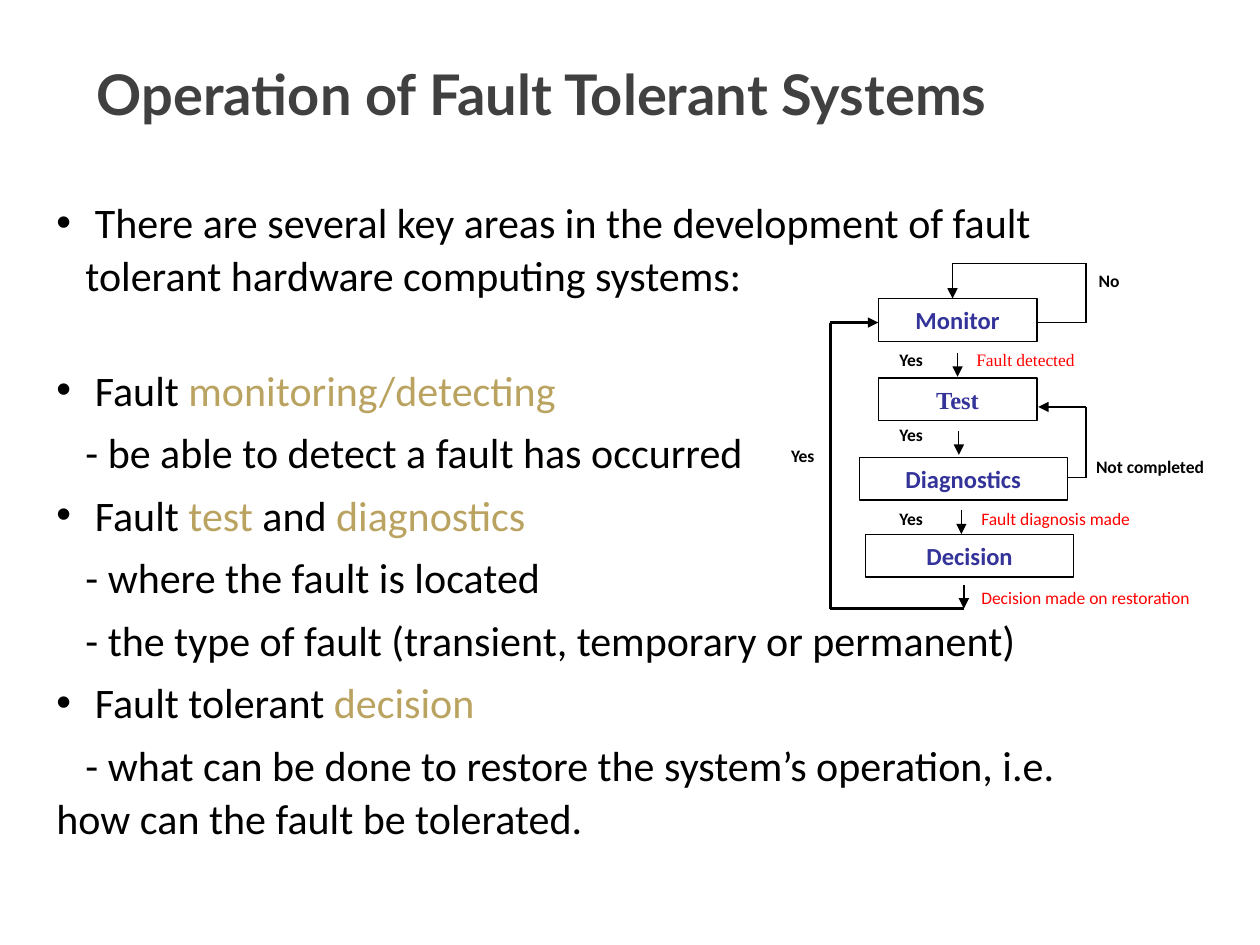
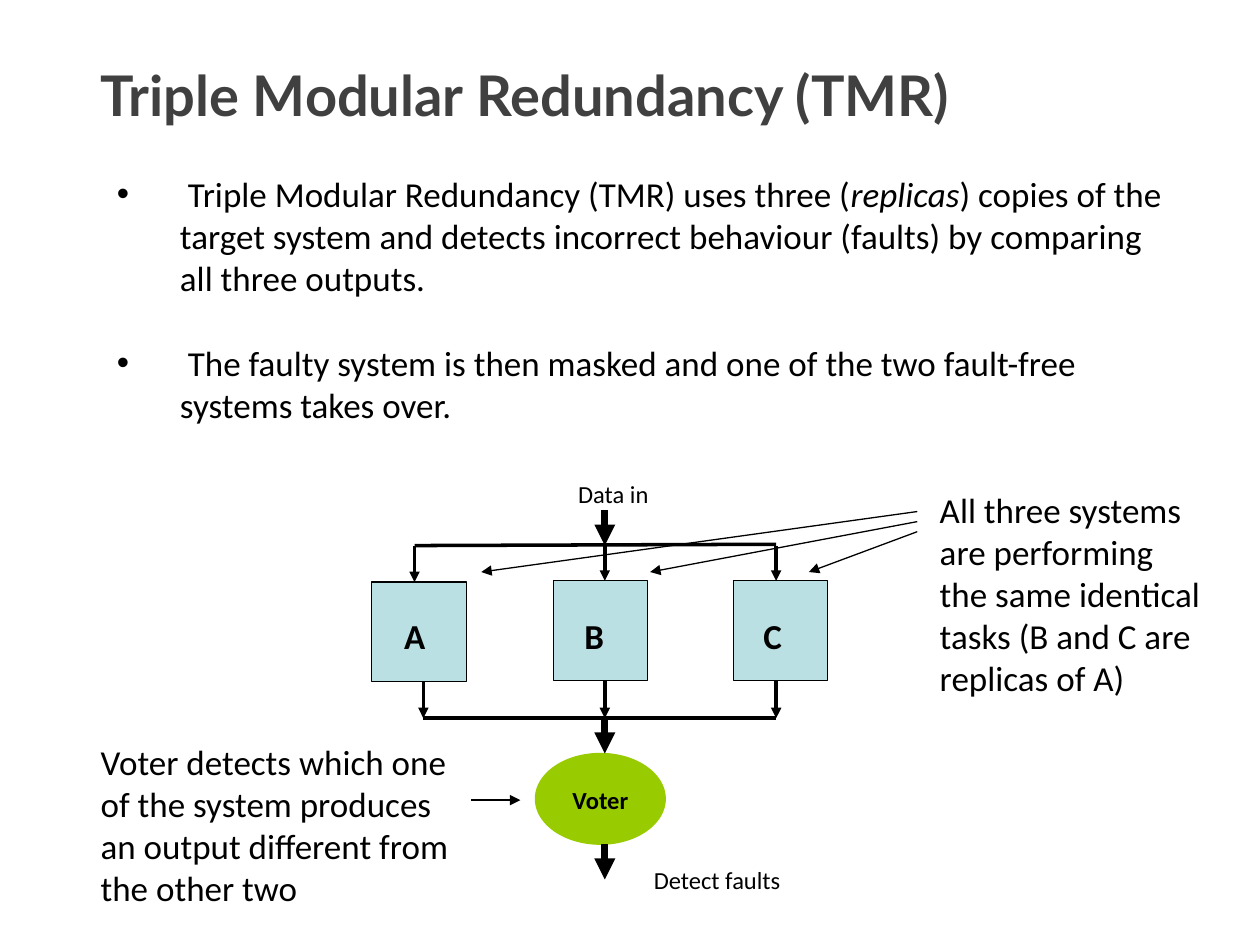
from lxml.etree import SubElement
from pptx import Presentation
from pptx.dml.color import RGBColor
from pptx.enum.shapes import MSO_CONNECTOR, MSO_SHAPE
from pptx.enum.text import MSO_ANCHOR, PP_ALIGN
from pptx.oxml.ns import qn
from pptx.util import Inches, Pt

COLOURS = {
    "title": "404040",
    "text": "000000",
    "accent": "BAA360",
    "step": "333399",
    "note": "FF0000",
    "module": "BBE0E3",
    "voter": "99CC00",
}
BODY_FONT = "Calibri"

presentation = Presentation()
presentation.slide_width = Inches(10)
presentation.slide_height = Inches(7.5)
column = presentation.slide_width / 100
row = presentation.slide_height / 75
blank_layout = presentation.slide_layouts[6]


def add_text(slide, text, cell, size=10, font=BODY_FONT, colour="text", bold=False,
             align=PP_ALIGN.LEFT, wrap=True, spacing=None, gaps=(0,), hanging=0,
             first_line=0, emphasis_colour=None, emphasis_italic=False,
             geometry=None, fill=None, line="text"):
    left, top, width, height = cell
    box = (round(left * column), round(top * row), round(width * column), round(height * row))
    if geometry is None:
        shape = slide.shapes.add_textbox(*box)
    else:
        shape = slide.shapes.add_shape(geometry, *box)
        shape.shadow.inherit = False
        shape.line.color.rgb = RGBColor.from_string(COLOURS[line])
        shape.line.width = Pt(0.75)
        if fill:
            shape.fill.solid()
            shape.fill.fore_color.rgb = RGBColor.from_string(COLOURS[fill])
        else:
            shape.fill.background()
    if not text:
        return
    frame = shape.text_frame
    frame.word_wrap = wrap
    frame.vertical_anchor = MSO_ANCHOR.MIDDLE if geometry else MSO_ANCHOR.TOP
    for index, (content, gap) in enumerate(zip(text.split("\n"), gaps)):
        paragraph = frame.paragraphs[0] if index == 0 else frame.add_paragraph()
        paragraph.alignment = align
        paragraph.space_before = Pt(gap)
        if spacing:
            paragraph.line_spacing = spacing
        properties = paragraph._p.get_or_add_pPr()
        if content.startswith("•"):
            content = content[1:]
            properties.set("marL", str(round(hanging * column)))
            properties.set("indent", str(-round(hanging * column)))
            SubElement(properties, qn("a:buFont"), typeface="Arial")
            SubElement(properties, qn("a:buChar"), char="•")
        elif first_line:
            properties.set("indent", str(round(first_line * column)))
        for position, part in enumerate(content.split("*")):
            emphasised = position % 2 == 1
            run = paragraph.add_run()
            run.text = part
            run.font.name = font
            run.font.size = Pt(size)
            run.font.bold = bold
            run.font.italic = emphasised and emphasis_italic
            shade = emphasis_colour if emphasised and emphasis_colour else colour
            run.font.color.rgb = RGBColor.from_string(COLOURS[shade])


def add_line(slide, *points, weight=0.75, arrow=True):
    for start, end in zip(points, points[1:]):
        connector = slide.shapes.add_connector(
            MSO_CONNECTOR.STRAIGHT,
            round(start[0] * column), round(start[1] * row),
            round(end[0] * column), round(end[1] * row))
        connector.line.color.rgb = RGBColor.from_string(COLOURS["text"])
        connector.line.width = Pt(weight)
        if arrow and end == points[-1]:
            SubElement(connector.line._get_or_add_ln(), qn("a:tailEnd"), type="triangle")
        SubElement(connector._element.spPr, qn("a:effectLst"))


TITLE = dict(size=32, font="Lato", colour="title", bold=True)

operation = presentation.slides.add_slide(blank_layout)
add_text(operation, "Operation of Fault Tolerant Systems", (6.7, 4.2, 85, 8.3), **TITLE)

key_areas = """• There are several key areas in the development of fault tolerant hardware computing systems:
• Fault *monitoring/detecting*
- be able to detect a fault has occurred
• Fault *test* and *diagnostics*
- where the fault is located
- the type of fault (transient, temporary or permanent)
• Fault tolerant *decision*
- what can be done to restore the system’s operation, i.e. how can the fault be tolerated."""
add_text(operation, key_areas, (3.5, 14.9, 84.3, 54.3), size=24, spacing=1.05,
         gaps=[0, 35.5] + [5.5] * 6, hanging=2.3, first_line=2.3,
         emphasis_colour="accent")

steps = [
    ("Monitor", 69.7, 23.7, 12.6, BODY_FONT),
    ("Test", 69.7, 30, 12.6, "Times New Roman"),
    ("Diagnostics", 68.2, 36.3, 16.5, BODY_FONT),
    ("Decision", 68.7, 42.4, 16.5, BODY_FONT),
]
for name, left, top, width, font in steps:
    add_text(operation, name, (left, top, width, 3.4), size=14, font=font, colour="step",
             bold=True, align=PP_ALIGN.CENTER, geometry=MSO_SHAPE.RECTANGLE)

for x, y in [(76, 28), (76.1, 34.2), (76.3, 40.5)]:
    add_line(operation, (x, y), (x, y + 1.9))
add_line(operation, (76.5, 46.4), (76.5, 48.3), weight=1.5)
add_line(operation, (76.5, 48.3), (65.9, 48.3), (65.9, 25.6), (69.7, 25.6), weight=1.5)
add_line(operation, (84.7, 37.9), (86.2, 37.9), (86.2, 32.3), (82.4, 32.3))
add_line(operation, (82.4, 25.6), (86.2, 25.6), (86.2, 20.9), (75.6, 20.9), (75.6, 23.7))

add_text(operation, "Fault detected", (76.5, 27.2, 9.9, 2.7), font="Times New Roman",
         colour="note", wrap=False)
add_text(operation, "Fault diagnosis made", (76.9, 39.8, 19, 2.7), colour="note")
add_text(operation, "Decision made on restoration", (76.9, 46.1, 22.9, 2.7), colour="note")
add_text(operation, "Not completed", (86, 35.7, 13.9, 2.7), bold=True)
add_text(operation, "No", (86.2, 20.9, 5.8, 2.7), bold=True)
for left, top in [(61.8, 34.8), (70.4, 27.2), (70.4, 33.2), (70.4, 39.8)]:
    add_text(operation, "Yes", (left, top, 4, 2.7), bold=True, wrap=False)

redundancy = presentation.slides.add_slide(blank_layout)
add_text(redundancy, "Triple Modular Redundancy (TMR)", (7, 4.3, 85, 4.2), **TITLE)

principle = """• Triple Modular Redundancy (TMR) uses three (*replicas*) copies of the target system and detects incorrect behaviour (faults) by comparing all three outputs.
• The faulty system is then masked and one of the two fault-free systems takes over."""
add_text(redundancy, principle, (8.3, 13.2, 85.8, 21.2), size=20, gaps=(0, 24.4),
         hanging=5, emphasis_italic=True)

modules = [
    ("A", 29.5, 46.2, 31.1, 32.9, 33.6),
    ("B", 43.9, 46.1, 45.4, 48, 48),
    ("C", 58.2, 46.1, 59.6, 61.6, 61.6),
]
for name, left, top, label_left, input_x, output_x in modules:
    add_text(redundancy, "", (left, top, 7.5, 7.9), geometry=MSO_SHAPE.RECTANGLE, fill="module")
    add_text(redundancy, name, (label_left, 48.3, 5.5, 4.3), size=20, bold=True)
    add_line(redundancy, (input_x, 43.3), (input_x, top), weight=2)
    add_line(redundancy, (output_x, top + 7.9), (output_x, 57), weight=2)
add_line(redundancy, (32.9, 43.3), (61.6, 43.2), weight=2, arrow=False)
add_line(redundancy, (61.6, 57), (33.6, 57), weight=2, arrow=False)

add_text(redundancy, "", (42.5, 59.8, 10.3, 7.2), geometry=MSO_SHAPE.OVAL,
         fill="voter", line="voter")
add_text(redundancy, "Voter", (43.9, 61.8, 7.5, 3.4), size=14, bold=True,
         align=PP_ALIGN.CENTER)
for y in (40.5, 57, 67):
    add_line(redundancy, (48, y), (48, y + 2.8), weight=4)
add_text(redundancy, "Data in", (44.9, 37.5, 7.7, 3.3), size=14, wrap=False)
add_text(redundancy, "Detect faults", (50.9, 68.2, 12.2, 3.4), size=14, wrap=False)

add_text(redundancy, "All three systems are performing the same identical tasks (B and C are replicas of A)",
         (73.6, 38.3, 23.2, 17.8), size=20)
for index, target_x in enumerate((38.2, 51.6, 64.2)):
    add_line(redundancy, (72.8, 40.6 + 0.8 * index), (target_x, 45.4))

add_text(redundancy, "Voter detects which one of the system produces an output different from the other two",
         (7, 58.3, 30.1, 14.5), size=20)
add_line(redundancy, (37.4, 63.5), (41.3, 63.5))

presentation.save("out.pptx")
